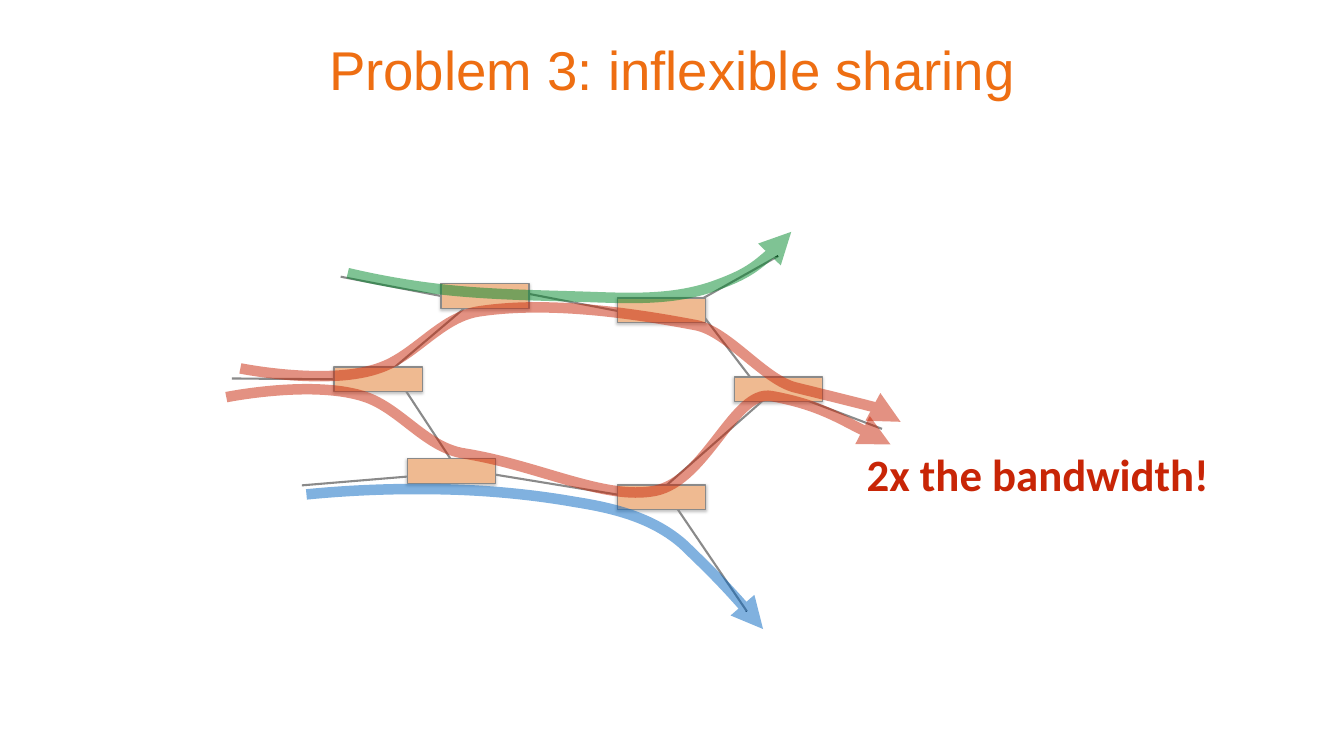
from dataclasses import dataclass

from pptx import Presentation
from pptx.dml.color import RGBColor
from pptx.enum.shapes import MSO_CONNECTOR, MSO_SHAPE
from pptx.enum.text import MSO_ANCHOR, PP_ALIGN
from pptx.oxml.ns import qn
from pptx.oxml.xmlchemy import OxmlElement
from pptx.util import Pt

STRAIGHT = MSO_CONNECTOR.STRAIGHT
RECTANGLE = MSO_SHAPE.RECTANGLE
MIDDLE = MSO_ANCHOR.MIDDLE
CENTER = PP_ALIGN.CENTER


@dataclass(frozen=True)
class Theme:
    title: str = "EE6E12"
    node: str = "DE6A10"
    ink: str = "000000"
    veil: str = "FFFFFF"
    green: str = "00882B"
    blue: str = "0365C0"
    red: str = "C82506"
    title_font: str = "Arial"
    label_font: str = "Calibri"
    title_size: int = 78
    label_size: int = 64
    link_width: int = 3
    node_line: int = 2
    flow_width: int = 15
    veil_opacity: int = 54
    flow_opacity: int = 49


THEME = Theme()

# Network geometry in points, relative to the network box
NODE_SIZE = (126, 35.3)
NODES = [(330, 75.4), (177.4, 194.2), (582, 95.5),
         (749, 208.6), (281.8, 325.2), (582, 362.6)]
LINKS = [
    ((214.8, 212.2), (31.2, 210.7)), ((811.7, 35.8), (677, 111.4)),
    ((788.6, 230.9), (690, 102)), ((806.6, 224.4), (960, 282.7)),
    ((362.4, 99.1), (186.7, 65.3)), ((241.4, 213.6), (373.9, 101.3)),
    ((347.3, 345.4), (131.3, 363.4)), ((653.3, 375.6), (767, 543.4)),
    ((615.8, 382.1), (399.8, 346.8)), ((359.5, 349.7), (263, 202.8)),
    ((612.2, 120), (436.6, 86.2)), ((805.2, 228.7), (625.9, 386.4)),
]
VEIL = (8.2, 36.5, 1028.9, 506.2)

# Each flow: start point, then three Bézier points per curve
FLOWS = [
    (THEME.green, [
        (196.8, 60.2),
        (242.9, 71), (289, 79), (335.8, 84),
        (402, 91.2), (470.4, 91.9), (535.9, 94.1),
        (600.7, 96.2), (664.1, 99.8), (725.3, 76.8),
        (766.3, 61.7), (803, 35.8), (830.4, 1.2)]),
    (THEME.blue, [
        (137.8, 376.3),
        (211.2, 369.1), (284.6, 367), (358.1, 369.8),
        (412.8, 372), (469, 377.8), (521.5, 387.1),
        (577, 395.8), (631, 409.4), (673.4, 445.4),
        (678.5, 449.8), (682.1, 453.4), (686.4, 457.7),
        (723.1, 493), (757.7, 529.7), (790.1, 568.6)]),
    (THEME.red, [
        (43.4, 196.3),
        (43.4, 196.3), (171.6, 222.2), (244.3, 194.9),
        (294, 176.9), (330, 123.6), (383.3, 115),
        (490.6, 98.4), (620.9, 120.7), (693.6, 134.4),
        (740.4, 143), (791.5, 212.9), (836.9, 223.7),
        (1029.8, 271.2), (986.6, 272.6), (986.6, 272.6)]),
    (THEME.red, [
        (23.3, 237.4),
        (23.3, 237.4), (151.4, 211.4), (224.9, 238.1),
        (274.6, 256.8), (309.8, 310.1), (363.8, 318),
        (471.1, 335.3), (563.3, 385), (635.3, 371.3),
        (709.4, 356.9), (749, 225.8), (802.3, 235.9),
        (870, 248.2), (972.2, 305), (972.2, 305)]),
]


def rgb(color):
    return RGBColor.from_string(color)


def add_child(parent, tag, **attributes):
    child = OxmlElement(tag)
    for name, value in attributes.items():
        child.set(name, str(value))
    parent.append(child)
    return child


def set_opacity(fill_parent, percent):
    color = next(fill_parent.iter(qn("a:srgbClr")))
    add_child(color, "a:alpha", val=percent * 1000)


def add_label(page, box, text, font, size, color, inset, bold=False):
    label = page.shapes.add_textbox(*map(Pt, box))
    frame = label.text_frame
    frame.word_wrap = True
    frame.vertical_anchor = MIDDLE
    frame.margin_left = frame.margin_right = Pt(inset)
    frame.margin_top = frame.margin_bottom = Pt(inset)
    para = frame.paragraphs[0]
    para.alignment = CENTER
    span = para.add_run()
    span.text = text
    span.font.name = font
    span.font.size = Pt(size)
    span.font.bold = bold
    span.font.color.rgb = rgb(color)


def add_link(page, start, end):
    link = page.shapes.add_connector(STRAIGHT, *map(Pt, start + end))
    link.line.color.rgb = rgb(THEME.ink)
    link.line.width = Pt(THEME.link_width)
    add_child(link._element.spPr, "a:effectLst")


def add_rectangle(page, box, color):
    rectangle = page.shapes.add_shape(RECTANGLE, *map(Pt, box))
    rectangle.shadow.inherit = False
    rectangle.fill.solid()
    rectangle.fill.fore_color.rgb = rgb(color)
    rectangle.line.fill.background()
    return rectangle


def add_node(page, box):
    node = add_rectangle(page, box, THEME.node)
    node.line.color.rgb = rgb(THEME.ink)
    node.line.width = Pt(THEME.node_line)
    effects = node._element.spPr.find(qn("a:effectLst"))
    shadow = add_child(effects, "a:outerShdw", blurRad=Pt(4), dist=Pt(2),
                       dir=90 * 60000, rotWithShape=0)
    add_child(shadow, "a:srgbClr", val=THEME.ink)
    set_opacity(shadow, 50)


def add_flow(page, points, color):
    points = [(Pt(x), Pt(y)) for x, y in points]
    builder = page.shapes.build_freeform(*points[0])
    builder.add_line_segments(points[1:], close=False)
    flow = builder.convert_to_shape()
    flow.shadow.inherit = False
    flow.fill.background()
    flow.line.color.rgb = rgb(color)
    flow.line.width = Pt(THEME.flow_width)
    outline = flow.line._get_or_add_ln()
    set_opacity(outline, THEME.flow_opacity)
    add_child(outline, "a:tailEnd", type="triangle")
    # Turn every three line segments into one cubic curve
    route = next(flow._element.iter(qn("a:path")))
    segments = route.findall(qn("a:lnTo"))
    for first in range(0, len(segments), 3):
        curve = add_child(route, "a:cubicBezTo")
        for segment in segments[first:first + 3]:
            curve.append(segment[0])
            route.remove(segment)


def add_network(page, left, top):
    def place(point):
        return left + point[0], top + point[1]

    for start, end in LINKS:
        add_link(page, place(start), place(end))
    for corner in NODES:
        add_node(page, place(corner) + NODE_SIZE)
    # Veil fades the network behind the flows
    veil = add_rectangle(page, place(VEIL) + VEIL[2:], THEME.veil)
    set_opacity(veil._element.spPr, THEME.veil_opacity)
    for color, points in FLOWS:
        add_flow(page, [place(point) for point in points], color)


def main():
    deck = Presentation()
    deck.slide_width, deck.slide_height = Pt(1920), Pt(1080)
    page = deck.slides.add_slide(deck.slide_layouts[6])
    add_label(page, (240, 0, 1440, 196.6), "Problem 3: inflexible sharing",
              THEME.title_font, THEME.title_size, THEME.title, 6)
    add_network(page, 300, 330)
    add_label(page, (1217.5, 627.8, 530, 98.6), "2x the bandwidth!",
              THEME.label_font, THEME.label_size, THEME.red, 4, bold=True)
    deck.save("out.pptx")


if __name__ == "__main__":
    main()
